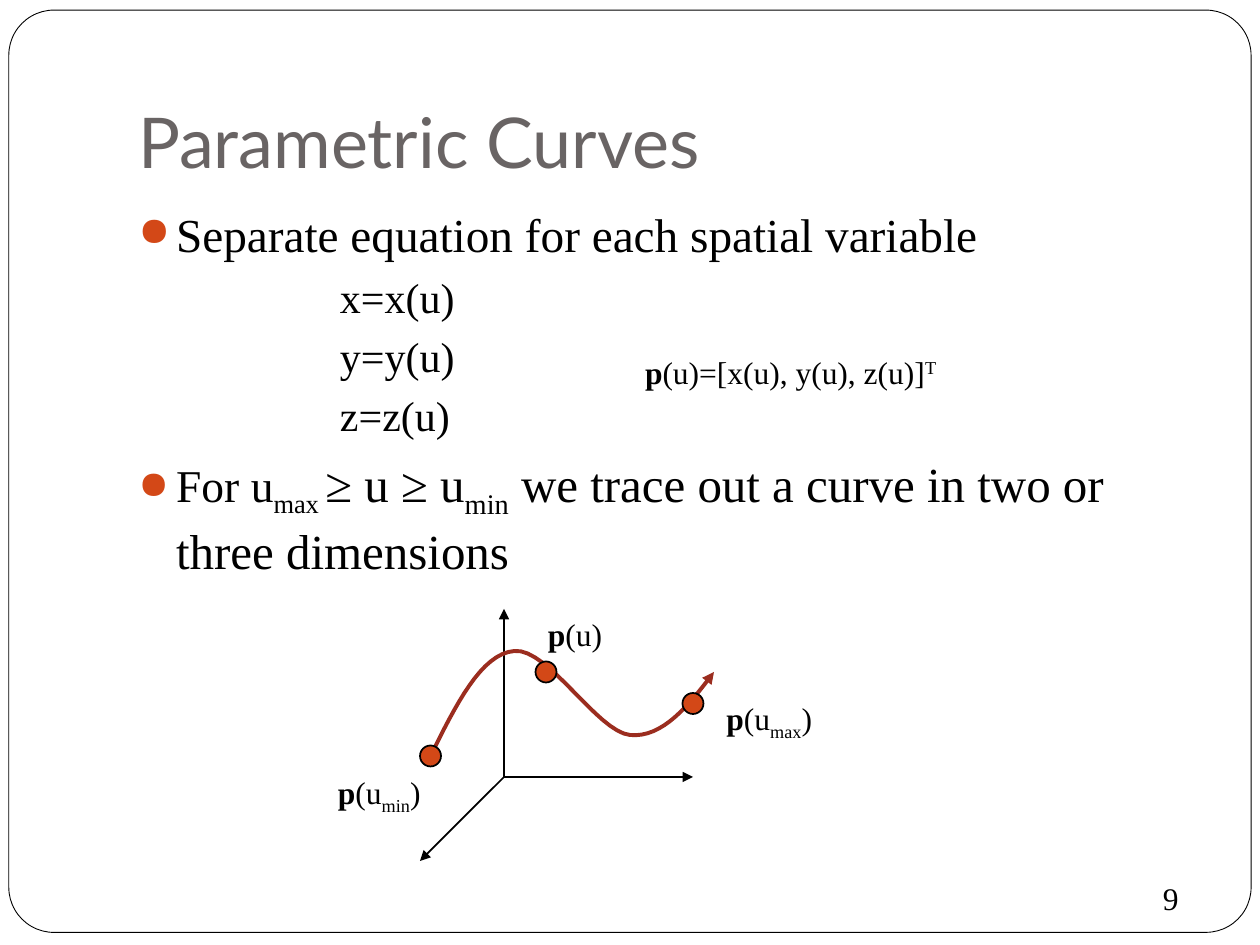
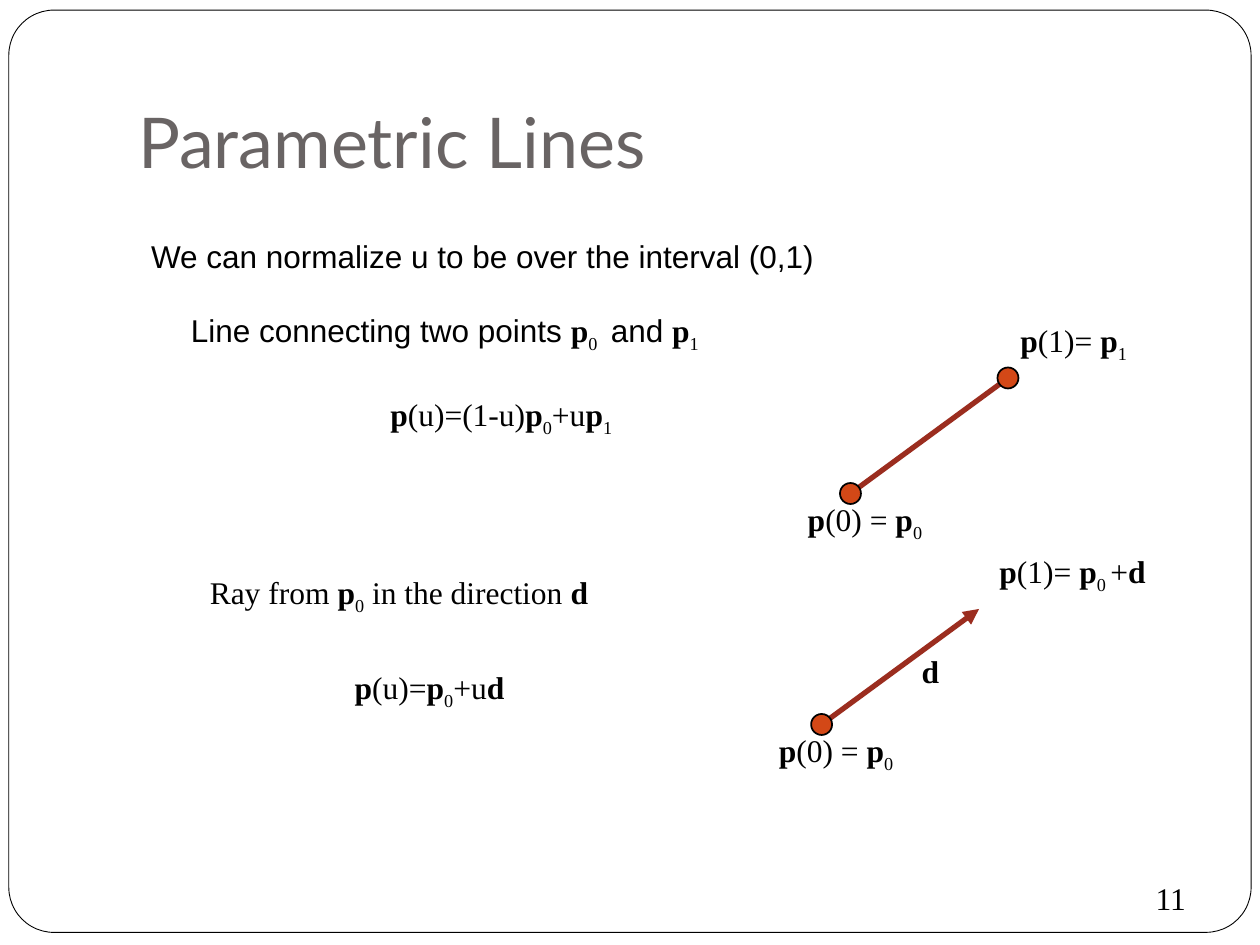
from collections import namedtuple

from lxml.etree import SubElement
from pptx import Presentation
from pptx.dml.color import RGBColor
from pptx.enum.shapes import MSO_CONNECTOR, MSO_SHAPE
from pptx.enum.text import MSO_ANCHOR, PP_ALIGN
from pptx.oxml.ns import qn
from pptx.util import Inches, Pt

BLACK = RGBColor(0x00, 0x00, 0x00)
WHITE = RGBColor(0xFF, 0xFF, 0xFF)
GREY = RGBColor(0x69, 0x64, 0x64)
ORANGE = RGBColor(0xD3, 0x48, 0x17)
RED = RGBColor(0x9B, 0x2D, 0x1F)
SERIF, SANS, TITLE_FONT = "Times New Roman", "Arial", "Lato"

# The slide is a grid of 120 columns by 90 rows, twelve cells to the inch
COLUMNS, ROWS, CELLS_PER_INCH = 120, 90, 12
DOT_SIZE = 2
LABEL_ROWS = 6

# Marks that switch a text style on and off
BOLD, SUB, SUPER, SMALL = "*", "_", "^", "~"
BASELINES = {SUB: "-25000", SUPER: "30000"}


def cells(count):
    return Inches(count / CELLS_PER_INCH)


class Box(namedtuple("Box", "col row cols rows")):
    def at(self, col, row):
        """Slide position of a point given relative to this box."""
        return self.col + col, self.row + row

    def lengths(self):
        return [cells(value) for value in self]


FRAME = Box(0.84, 0.96, 118.32, 87.84)
TITLE = Box(12, 3.6, 102, 15)
BODY = Box(12, 19, 102, 60)
PAGE_NUMBER = Box(108.5, 83, 6, 5)


# Text

def add_spans(para, markup, small=None):
    """Split markup into runs; bold, raised and lowered runs are serif."""
    active, piece = set(), ""
    for letter in markup + BOLD:
        if letter not in (BOLD, SUB, SUPER, SMALL):
            piece += letter
            continue
        if piece:
            span = para.add_run()
            span.text = piece
            if BOLD in active:
                span.font.bold = True
            if active - {SMALL}:
                span.font.name = SERIF
            if SMALL in active:
                span.font.size = Pt(small)
            for mark in active & set(BASELINES):
                span.font._element.set("baseline", BASELINES[mark])
        active ^= {letter}
        piece = ""


def style(para, size, font=SERIF, color=BLACK):
    para.font.size = Pt(size)
    para.font.name = font
    para.font.color.rgb = color


def add_frame(page, box, anchor=MSO_ANCHOR.TOP):
    frame = page.shapes.add_textbox(*box.lengths()).text_frame
    frame.word_wrap = True
    frame.vertical_anchor = anchor
    return frame


def add_label(page, position, cols, markup, font=SERIF):
    para = add_frame(page, Box(*position, cols, LABEL_ROWS)).paragraphs[0]
    style(para, 18, font)
    add_spans(para, markup)


def set_indent(para, left, first=0, bullet=False):
    props = para._p.get_or_add_pPr()
    props.set("marL", str(Inches(left)))
    props.set("indent", str(Inches(first)))
    if bullet:
        color = SubElement(props, qn("a:buClr"))
        SubElement(color, qn("a:srgbClr"), val=str(ORANGE))
        SubElement(props, qn("a:buSzPct"), val="85000")
        SubElement(props, qn("a:buChar"), char="●")


# Lines and dots

def style_line(shape, color, width, arrow):
    shape.line.color.rgb = color
    shape.line.width = Pt(width)
    if arrow:
        SubElement(shape.line._get_or_add_ln(), qn("a:tailEnd"), type="triangle")


def add_line(page, start, end, color=BLACK, width=1, arrow=True):
    ends = [cells(value) for value in (*start, *end)]
    line = page.shapes.add_connector(MSO_CONNECTOR.STRAIGHT, *ends)
    style_line(line, color, width, arrow)
    SubElement(line._element.spPr, qn("a:effectLst"))


def add_solid(page, kind, box, fill, width):
    shape = page.shapes.add_shape(kind, *box.lengths())
    shape.shadow.inherit = False
    shape.fill.solid()
    shape.fill.fore_color.rgb = fill
    shape.line.color.rgb = BLACK
    shape.line.width = Pt(width)
    return shape


def add_dot(page, center):
    col, row = (value - DOT_SIZE / 2 for value in center)
    add_solid(page, MSO_SHAPE.OVAL, Box(col, row, DOT_SIZE, DOT_SIZE), ORANGE, 1)


def bezier(points, share):
    """Point at a share of the way along a Bezier curve."""
    while len(points) > 1:
        points = [tuple(a + (b - a) * share for a, b in zip(start, end))
                  for start, end in zip(points, points[1:])]
    return points[0]


def add_curve(page, points, steps=16):
    """Draw joined cubic curves through every third point."""
    trace = [bezier(points[first:first + 4], step / steps)
             for first in range(0, len(points) - 1, 3)
             for step in range(1, steps + 1)]
    start, *rest = [(cells(col), cells(row)) for col, row in [points[0], *trace]]
    builder = page.shapes.build_freeform(*start)
    builder.add_line_segments(rest, close=False)
    curve = builder.convert_to_shape()
    curve.shadow.inherit = False
    curve.fill.background()
    style_line(curve, RED, 2.25, True)


# Regions

def add_page(deck, title, number):
    page = deck.slides.add_slide(deck.slide_layouts[6])
    border = add_solid(page, MSO_SHAPE.ROUNDED_RECTANGLE, FRAME, WHITE, 0.5)
    border.adjustments[0] = 0.049

    frame = add_frame(page, TITLE, MSO_ANCHOR.BOTTOM)
    frame.margin_bottom = Inches(0.1)
    frame.text = title
    style(frame.paragraphs[0], 40, TITLE_FONT, GREY)

    frame = add_frame(page, PAGE_NUMBER, MSO_ANCHOR.MIDDLE)
    frame.margin_left = frame.margin_right = 0
    frame.margin_top = frame.margin_bottom = 0
    frame.text = str(number)
    frame.paragraphs[0].alignment = PP_ALIGN.CENTER
    style(frame.paragraphs[0], 18)
    return page


def add_body(page, box):
    frame = add_frame(page, box)
    # markup, size, space before, bullet
    lines = [
        ("Separate equation for each spatial variable", 27, 0, True),
        ("x=x(u)", 24, 5, False),
        ("y=y(u)", 24, 5, False),
        ("z=z(u)", 24, 5, False),
        ("~For u_max _~≥ u ≥ u_min_ we trace out a curve in two or three dimensions",
         28, 7.8, True),
    ]
    for index, (markup, size, space, bullet) in enumerate(lines):
        para = frame.add_paragraph() if index else frame.paragraphs[0]
        para.space_before = Pt(space)
        if bullet:
            set_indent(para, 0.3, -0.3, bullet=True)
        else:
            set_indent(para, 1.6)
        style(para, size)
        add_spans(para, markup, small=26)


def add_curve_diagram(page, box):
    # Axes
    origin = box.at(17, 16)
    for tip in [(17, 0), (35, 16), (9, 24)]:
        add_line(page, origin, box.at(*tip))
    # Curve with its control points
    add_curve(page, [box.at(*point) for point in [
        (10, 14), (12.4, 9.2), (14.8, 4.25), (18, 4), (21.2, 3.7),
        (25.9, 11.7), (29, 12), (32.1, 12.3), (34.6, 9.2), (37, 6)]])
    for dot in [(10, 14), (35, 9), (21, 6)]:
        add_dot(page, box.at(*dot))
    # Labels
    add_label(page, box.at(20, 0), 10, "*p*(u)")
    add_label(page, box.at(0, 15), 14, "*p*(u_min_)")
    add_label(page, box.at(37, 8), 14, "*p*(u_max_)")


def add_segment(page, box, end_label, is_ray):
    start, end = box.at(0, box.rows), box.at(box.cols, 0)
    add_line(page, start, end, RED, 3, arrow=is_ray)
    add_dot(page, start)
    if not is_ray:
        add_dot(page, end)
    add_label(page, box.at(-5.25, box.rows), 17, "*p*(0) = *p*_0_")
    add_label(page, box.at(box.cols + 0.75 * is_ray, -6), 21, end_label)


def add_curves_slide(deck):
    page = add_page(deck, "Parametric Curves", 9)
    add_body(page, BODY)
    add_label(page, (60.25, 33), 40, "*p*(u)=[x(u), y(u), z(u)]^T^")
    add_curve_diagram(page, Box(31, 58, 51, 24))


def add_lines_slide(deck):
    page = add_page(deck, "Parametric Lines", 11)
    # Statements and equations
    add_label(page, (13.2, 22), 87,
              "We can normalize u to be over the interval (0,1)", SANS)
    add_label(page, (17, 29), 68,
              "Line connecting two points *p*_0 _ and *p*_1_", SANS)
    add_label(page, (36, 37), 31, "*p*(u)=(1-u)*p*_0_+u*p*_1_")
    add_label(page, (18.8, 54), 52, "Ray from *p*_0_ in the direction *d*")
    add_label(page, (32.6, 63), 22, "*p*(u)=*p*_0_+u*d*")
    # Line segment and ray
    add_segment(page, Box(81, 36, 15, 11), "*p*(1)= *p*_1_", False)
    add_segment(page, Box(78.25, 58, 15, 11), "*p*(1)= *p*_0 _+*d*", True)
    add_label(page, (86.6, 61.5), 5, "*d*")


def main():
    deck = Presentation()
    deck.slide_width, deck.slide_height = cells(COLUMNS), cells(ROWS)
    add_curves_slide(deck)
    add_lines_slide(deck)
    deck.save("out.pptx")


if __name__ == "__main__":
    main()
